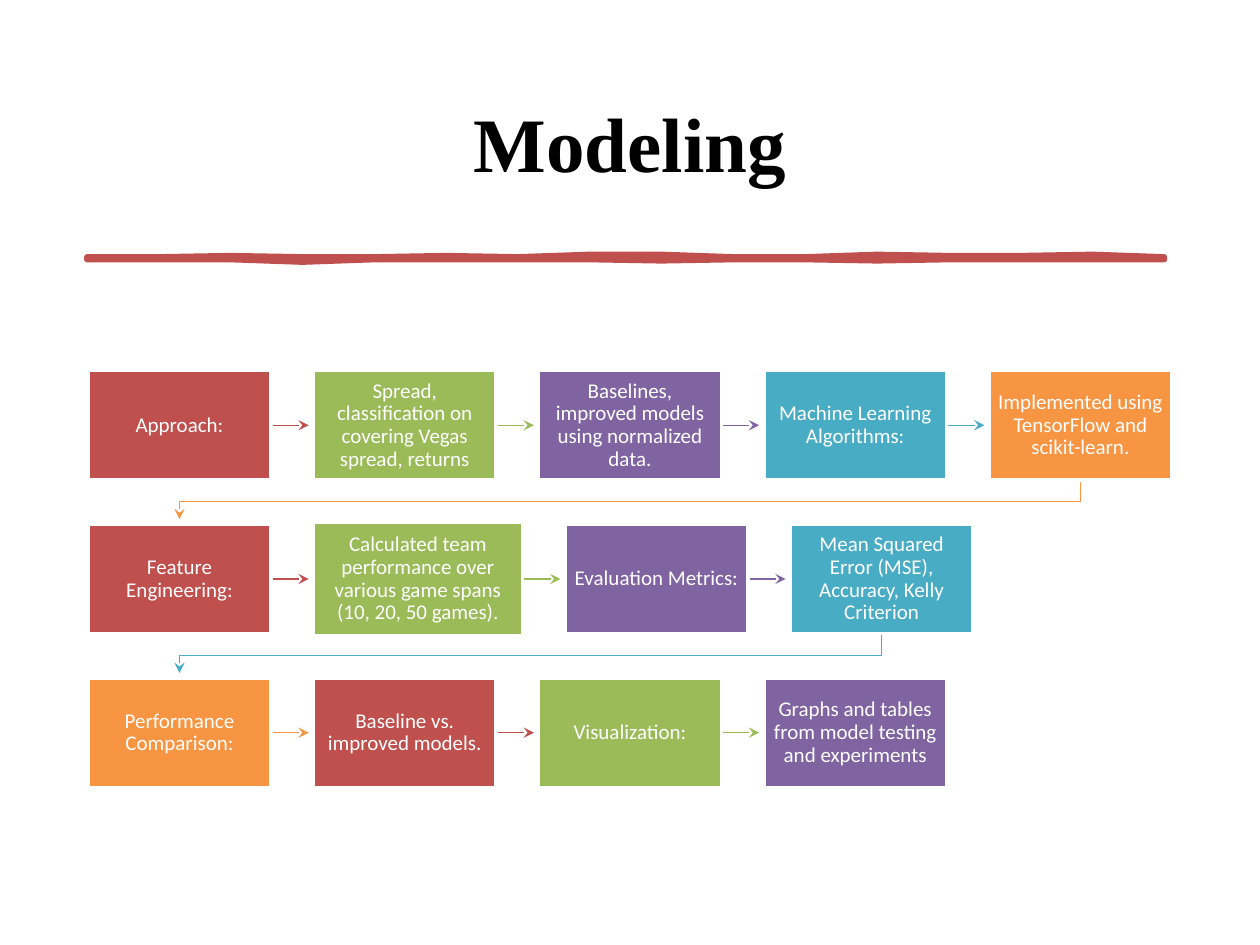
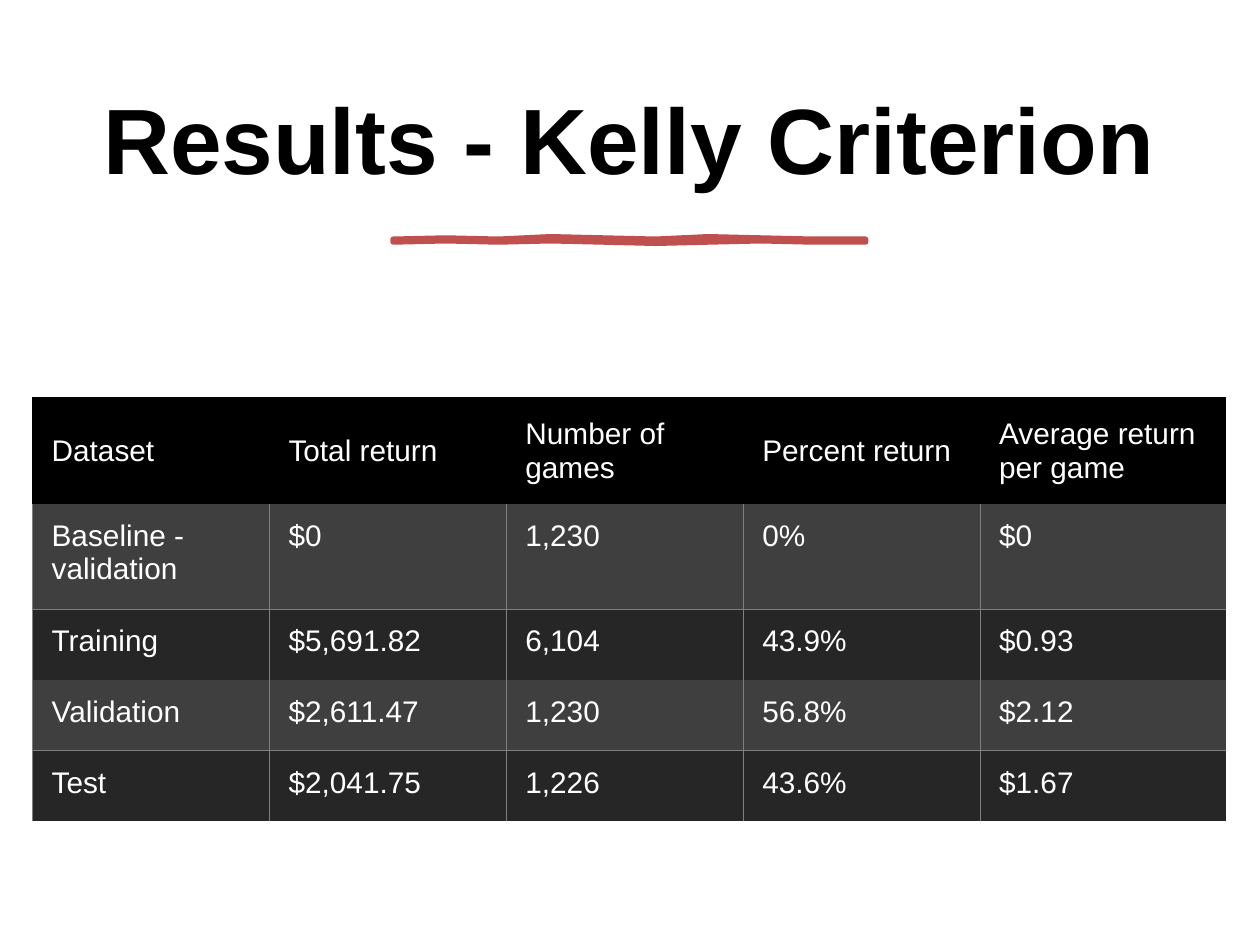
from itertools import cycle

from lxml import etree
from pptx import Presentation
from pptx.dml.color import RGBColor
from pptx.enum.shapes import MSO_CONNECTOR, MSO_SHAPE
from pptx.enum.text import MSO_ANCHOR, PP_ALIGN
from pptx.oxml.ns import qn
from pptx.util import Inches, Pt

RECT = MSO_SHAPE.RECTANGLE
STRAIGHT = MSO_CONNECTOR.STRAIGHT
CENTER, LEFT = PP_ALIGN.CENTER, PP_ALIGN.LEFT
MIDDLE, TOP = MSO_ANCHOR.MIDDLE, MSO_ANCHOR.TOP

BLACK, WHITE, GREY = "000000", "FFFFFF", "7F7F7F"
ACCENT = "C0504D"
BANDS = ["3F3F3F", "262626"]
HUES = ["BF504D", "9BBB59", "8064A2", "49ACC5", "F79543"]

BOX_W, BOX_H = 1.45, 0.87
FLOW_X, FLOW_Y, FLOW_W = 0.7, 2.94, 8.6
GAP = (FLOW_W - 5 * BOX_W) / 4
ROW_STEP = 1.22
WIDE, TALL = 1.66, 0.9
WIDE_TEXT = "Calculated team performance over various game spans (10, 20, 50 games)."

STEPS = [
    ["Approach:",
     "Spread, classification on covering Vegas spread, returns",
     "Baselines, improved models using normalized data.",
     "Machine Learning Algorithms:",
     "Implemented using TensorFlow and scikit-learn."],
    ["Feature Engineering:",
     WIDE_TEXT,
     "Evaluation Metrics:",
     "Mean Squared Error (MSE), Accuracy, Kelly Criterion"],
    ["Performance Comparison:",
     "Baseline vs. improved models.",
     "Visualization:",
     "Graphs and tables from model testing and experiments"],
]

RETURNS = [
    ["Dataset", "Total return", "Number of games", "Percent return",
     "Average return per game"],
    ["Baseline - validation", "$0", "1,230", "0%", "$0"],
    ["Training", "$5,691.82", "6,104", "43.9%", "$0.93"],
    ["Validation", "$2,611.47", "1,230", "56.8%", "$2.12"],
    ["Test", "$2,041.75", "1,226", "43.6%", "$1.67"],
]
COLS = [1.88] * 4 + [1.95]
ROWS = [0.84] * 2 + [0.56] * 3


def rgb(code):
    return RGBColor.from_string(code)


def write(frame, text, size, font, color, align, space=None):
    frame.word_wrap = True
    para = frame.paragraphs[0]
    para.text = text
    para.alignment = align
    para.line_spacing = space
    para.font.size = Pt(size)
    para.font.name = font
    para.font.color.rgb = rgb(color)
    return para


def inset(item, left, rest):
    item.margin_left = Inches(left)
    item.margin_top = item.margin_right = item.margin_bottom = Inches(rest)


def outline(shape, color, width, *ends):
    shape.line.color.rgb = rgb(color)
    shape.line.width = Pt(width)
    props = shape._element.spPr
    line = props.find(qn("a:ln"))
    etree.SubElement(line, qn("a:round"))
    for kind in ends:
        etree.SubElement(line, qn("a:tailEnd"), type=kind)


def trace(slide, points, closed):
    spots = [(Inches(x), Inches(y)) for x, y in points]
    pen = slide.shapes.build_freeform(*spots[0], scale=1.0)
    pen.add_line_segments(spots[1:], close=closed)
    shape = pen.convert_to_shape()
    shape.shadow.inherit = False
    return shape


def add_title(slide, text, box, size, font, space=None):
    area = slide.shapes.add_textbox(*map(Inches, box))
    area.text_frame.vertical_anchor = MIDDLE
    para = write(area.text_frame, text, size, font, BLACK, CENTER, space)
    para.font.bold = True


def add_brush(slide, left, top, width, upper, lower):
    def edge(marks):
        step = width / (len(marks) - 1)
        return [(left + i * step, top + m / 100) for i, m in enumerate(marks)]

    shape = trace(slide, edge(upper) + edge(lower)[::-1], True)
    shape.fill.solid()
    shape.fill.fore_color.rgb = rgb(ACCENT)
    outline(shape, ACCENT, 3.25)


def add_arrow(slide, left, y, color):
    line = slide.shapes.add_connector(
        STRAIGHT, Inches(left), Inches(y), Inches(left + 0.3), Inches(y))
    outline(line, color, 0.75, "stealth")
    etree.SubElement(line._element.spPr, qn("a:effectLst"))


def add_return(slide, start, end, top, color):
    bend = top + 0.17
    path = [(start, top), (start, bend), (end, bend), (end, top + 0.31)]
    shape = trace(slide, path, False)
    shape.fill.background()
    outline(shape, color, 0.75, "stealth")


def add_step(slide, text, left, top, width, height, color):
    box = slide.shapes.add_shape(
        RECT, Inches(left), Inches(top), Inches(width), Inches(height))
    box.shadow.inherit = False
    box.fill.solid()
    box.fill.fore_color.rgb = rgb(color)
    outline(box, WHITE, 2)
    frame = box.text_frame
    frame.vertical_anchor = MIDDLE
    inset(frame, 0.07, 0.07)
    write(frame, text, 12, "Calibri", WHITE, CENTER, 0.9)


def add_flow(slide):
    hues = cycle(HUES)
    for row, texts in enumerate(STEPS):
        left, top = FLOW_X, FLOW_Y + row * ROW_STEP
        mid = top + BOX_H / 2
        for col, text in enumerate(texts):
            hue = next(hues)
            wide = text == WIDE_TEXT
            width, height = (WIDE, TALL) if wide else (BOX_W, BOX_H)
            if col < len(texts) - 1:
                add_arrow(slide, left + width, mid, hue)
            elif row < len(STEPS) - 1:
                add_return(slide, left + width / 2, FLOW_X + BOX_W / 2,
                           top + BOX_H, hue)
            add_step(slide, text, left, mid - height / 2, width, height, hue)
            left += width + GAP


def add_border(cell, side, color, width):
    props = cell._tc.get_or_add_tcPr()
    line = etree.SubElement(props, qn("a:ln" + side), w=str(Pt(width)))
    if color:
        fill = etree.SubElement(line, qn("a:solidFill"))
        etree.SubElement(fill, qn("a:srgbClr"), val=color)
    else:
        etree.SubElement(line, qn("a:noFill"))


def style_cell(cell, row, col):
    head = row == 0
    last = col == len(COLS) - 1
    if head:
        edges = {"L": BLACK if col == 0 else None, "T": BLACK}
    else:
        edges = {"L": GREY, "R": None if last else GREY,
                 "T": GREY if row in (2, 4) else None,
                 "B": GREY if row in (1, 3) else None}
    for side in "LRTB":
        add_border(cell, side, edges.get(side), 1.5 if head else 0.75)
    cell.fill.solid()
    cell.fill.fore_color.rgb = rgb(BLACK if head else BANDS[(row - 1) % 2])
    cell.vertical_anchor = MIDDLE if head else TOP
    inset(cell, 0.15, 0.12)


def add_grid(slide, left, top):
    table = slide.shapes.add_table(
        len(ROWS), len(COLS), Inches(left), Inches(top),
        Inches(sum(COLS)), Inches(sum(ROWS))).table
    for col, width in zip(table.columns, COLS):
        col.width = Inches(width)
    for row, height in zip(table.rows, ROWS):
        row.height = Inches(height)
    for r, texts in enumerate(RETURNS):
        for c, text in enumerate(texts):
            cell = table.cell(r, c)
            style_cell(cell, r, c)
            write(cell.text_frame, text, 17, "Arial", WHITE, LEFT)


def main():
    deck = Presentation()
    deck.slide_width, deck.slide_height = Inches(10), Inches(7.5)
    blank = deck.slide_layouts[6]

    model = deck.slides.add_slide(blank)
    add_title(model, "Modeling", (0.69, 0.4, 8.62, 1.45), 44,
              "Times New Roman")
    add_brush(model, 0.69, 2.04, 8.55,
              [0, 0, -1, 0, 0, -1, 0, -2, -2, 0, 0, -2, -1, -1, -2, 0],
              [2, 2, 2, 4, 2, 2, 2, 2, 3, 2, 2, 3, 2, 2, 2, 2])
    add_flow(model)

    result = deck.slides.add_slide(blank)
    add_title(result, "Results - Kelly Criterion", (0.52, 0.46, 8.95, 1.37),
              53, "Arial", 0.9)
    add_brush(result, 3.12, 1.9, 3.75,
              [0, -1, 0, -2, -1, 0, -2, -1, 0, 0],
              [2, 1, 2, 1, 2, 3, 2, 1, 2, 2])
    add_grid(result, 0.26, 3.16)

    deck.save("out.pptx")


if __name__ == "__main__":
    main()
